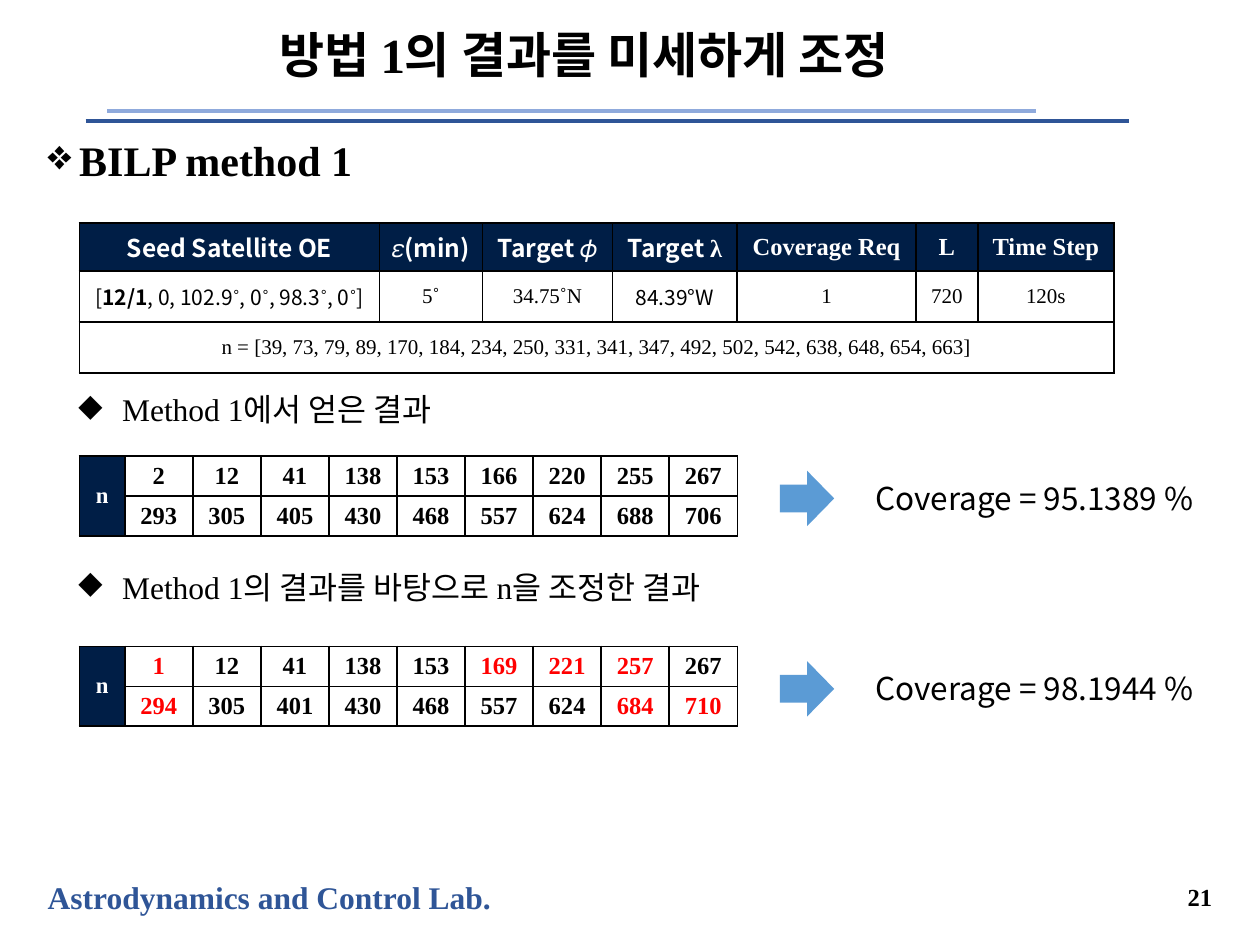
from lxml import etree
from pptx import Presentation
from pptx.dml.color import RGBColor
from pptx.enum.shapes import MSO_CONNECTOR, MSO_SHAPE
from pptx.enum.text import MSO_ANCHOR, PP_ALIGN
from pptx.oxml.ns import qn
from pptx.util import Pt

LINE = MSO_CONNECTOR.STRAIGHT
ARROW = MSO_SHAPE.RIGHT_ARROW
TOP, MIDDLE = MSO_ANCHOR.TOP, MSO_ANCHOR.MIDDLE
LEFT, CENTER, RIGHT = PP_ALIGN.LEFT, PP_ALIGN.CENTER, PP_ALIGN.RIGHT

BLACK = RGBColor(0x00, 0x00, 0x00)
WHITE = RGBColor(0xFF, 0xFF, 0xFF)
NAVY = RGBColor(0x00, 0x1E, 0x46)
BLUE = RGBColor(0x2F, 0x55, 0x97)
PALE = RGBColor(0x8F, 0xAA, 0xDC)
SKY = RGBColor(0x5B, 0x9B, 0xD5)
RED = RGBColor(0xFF, 0x00, 0x00)

SERIF = "Times New Roman"
SANS = "Noto Sans CJK KR"

HEADS = [
    [("Seed Satellite OE", SANS)],
    [("𝜀(min)", SANS)],
    [("Target 𝜙", SANS)],
    [("Target ", SANS), ("λ", SERIF)],
    [("Coverage Req", SERIF)],
    [("L", SERIF)],
    [("Time Step", SERIF)],
]
DEG = ("˚", SERIF)
ORBIT = [("[", SANS), ("12/1", SANS, True), (", 0, 102.9", SANS), DEG, (", 0", SANS), DEG,
         (", 98.3", SANS), DEG, (", 0", SANS), DEG, ("]", SANS)]
INPUTS = [
    ORBIT,
    [("5˚", SERIF)],
    [("34.75˚N", SERIF)],
    [("84.39°W", SANS)],
    [("1", SERIF)],
    [("720", SERIF)],
    [("120s", SERIF)],
]
SEEDS = "n = [39, 73, 79, 89, 170, 184, 234, 250, 331, 341, 347, 492, 502, 542, 638, 648, 654, 663]"
FOUND = [
    [2, 12, 41, 138, 153, 166, 220, 255, 267],
    [293, 305, 405, 430, 468, 557, 624, 688, 706],
]
TUNED = [
    [1, 12, 41, 138, 153, 169, 221, 257, 267],
    [294, 305, 401, 430, 468, 557, 624, 684, 710],
]
MOVED = {1, 169, 221, 257, 294, 684, 710}
POINTS = [
    ("❖", "BILP method 1", 24, True, 18, -28, 0),
    ("◆", "Method 1에서 얻은 결과", 18, False, 42.5, -25, 117),
    ("◆", "Method 1의 결과를 바탕으로 n을 조정한 결과", 18, False, 42.5, -25, 80),
]


class Deck:
    """Holds the style and the current slide and draws each kind of element."""

    def __init__(self):
        self.prs = Presentation()
        self.prs.slide_width, self.prs.slide_height = Pt(720), Pt(540)
        self.slide = self.prs.slides.add_slide(self.prs.slide_layouts[6])
        self.shapes = self.slide.shapes

    def label(self, par, parts, size, color=BLACK, bold=False, align=LEFT):
        par.alignment = align
        for text, face, *strong in parts:
            run = par.add_run()
            run.text = text
            font = run.font
            font.name, font.size = face, Pt(size)
            font.bold = bold or bool(strong)
            font.color.rgb = color
            east = etree.SubElement(run._r.get_or_add_rPr(), qn("a:ea"))
            east.set("typeface", SANS)

    def box(self, x, y, w, h, anchor=TOP, wrap=True):
        frame = self.shapes.add_textbox(Pt(x), Pt(y), Pt(w), Pt(h)).text_frame
        frame.word_wrap, frame.vertical_anchor = wrap, anchor
        return frame

    def rule(self, x, y, end, color):
        line = self.shapes.add_connector(LINE, Pt(x), Pt(y), Pt(end), Pt(y))
        line.line.color.rgb, line.line.width = color, Pt(2.25)
        etree.SubElement(line._element.spPr, qn("a:effectLst"))

    def arrow(self, x, y, w, h):
        shape = self.shapes.add_shape(ARROW, Pt(x), Pt(y), Pt(w), Pt(h))
        shape.shadow.inherit = False
        shape.fill.solid()
        shape.fill.fore_color.rgb = SKY
        shape.line.fill.background()

    def points(self, x, y, w, h, items):
        frame = self.box(x, y, w, h)
        for num, (mark, text, size, bold, left, hang, gap) in enumerate(items):
            par = frame.add_paragraph() if num else frame.paragraphs[0]
            par.space_before = Pt(gap)
            props = par._p.get_or_add_pPr()
            props.set("marL", str(Pt(left)))
            props.set("indent", str(Pt(hang)))
            etree.SubElement(props, qn("a:buChar")).set("char", mark)
            self.label(par, [(text, SERIF)], size, bold=bold)

    def table(self, x, y, cols, rows):
        shape = self.shapes.add_table(len(rows), len(cols), Pt(x), Pt(y), Pt(sum(cols)), Pt(sum(rows)))
        grid = shape.table
        for col, width in zip(grid.columns, cols):
            col.width = Pt(width)
        for row, height in zip(grid.rows, rows):
            row.height = Pt(height)
        for cell in grid.iter_cells():
            self.frame(cell)
        return grid

    def frame(self, cell):
        cell.vertical_anchor = MIDDLE
        cell.margin_left = cell.margin_right = cell.margin_top = cell.margin_bottom = 0
        for side in ("lnL", "lnR", "lnT", "lnB"):
            edge = etree.SubElement(cell._tc.get_or_add_tcPr(), qn("a:" + side), w=str(Pt(1)))
            fill = etree.SubElement(edge, qn("a:solidFill"))
            etree.SubElement(fill, qn("a:srgbClr"), val=str(BLACK))
        cell.fill.solid()
        cell.fill.fore_color.rgb = WHITE

    def cell(self, cell, parts, size, color=BLACK, bold=False, fill=WHITE):
        cell.fill.fore_color.rgb = fill
        self.label(cell.text_frame.paragraphs[0], parts, size, color, bold, CENTER)

    def setup(self, x, y):
        grid = self.table(x, y, [171.4, 59, 74.2, 71.3, 102.2, 35.3, 77.8], [27.5, 29.2, 29.2])
        for col, (head, value) in enumerate(zip(HEADS, INPUTS)):
            self.cell(grid.cell(0, col), head, 14, WHITE, True, NAVY)
            self.cell(grid.cell(1, col), value, 12)
        grid.cell(2, 0).merge(grid.cell(2, 6))
        self.cell(grid.cell(2, 0), [(SEEDS, SERIF)], 12)

    def result(self, y, values, cover):
        grid = self.table(45.4, y, [25.9] + [38.9] * 9, [22.8] * 2)
        grid.cell(0, 0).merge(grid.cell(1, 0))
        self.cell(grid.cell(0, 0), [("n", SERIF)], 13, WHITE, True, NAVY)
        for row, line in enumerate(values):
            for col, value in enumerate(line, 1):
                color = RED if value in MOVED else BLACK
                self.cell(grid.cell(row, col), [(str(value), SERIF)], 14, color, True)
        self.arrow(445.7, y + 8.4, 31, 31.7)
        par = self.box(457.2, y + 9.4, 254.9, 28.8).paragraphs[0]
        par._p.get_or_add_pPr().set("marL", str(Pt(36)))
        self.label(par, [(f"Coverage = {cover} %", SANS)], 18)


def main():
    deck = Deck()
    foot = deck.box(20.2, 498.2, 270.7, 28.8, wrap=False)
    deck.label(foot.paragraphs[0], [("Astrodynamics and Control Lab.", SERIF)], 18, BLUE, True)
    deck.rule(49, 69.1, 645.1, BLUE)
    deck.rule(61.2, 63.4, 591.8, PALE)
    deck.points(20.2, 73.4, 679.7, 423.4, POINTS)
    page = deck.box(622.8, 498.2, 77, 28.1, MIDDLE)
    deck.label(page.paragraphs[0], [("21", SERIF)], 14, bold=True, align=RIGHT)
    title = deck.box(69.8, 5.8, 527.8, 54, MIDDLE).paragraphs[0]
    title.line_spacing = 0.9
    deck.label(title, [("방법 1의 결과를 미세하게 조정", SERIF)], 28, bold=True, align=CENTER)
    deck.setup(45.4, 127.4)
    deck.result(260.6, FOUND, "95.1389")
    deck.result(369.4, TUNED, "98.1944")
    deck.prs.save("out.pptx")


if __name__ == "__main__":
    main()
